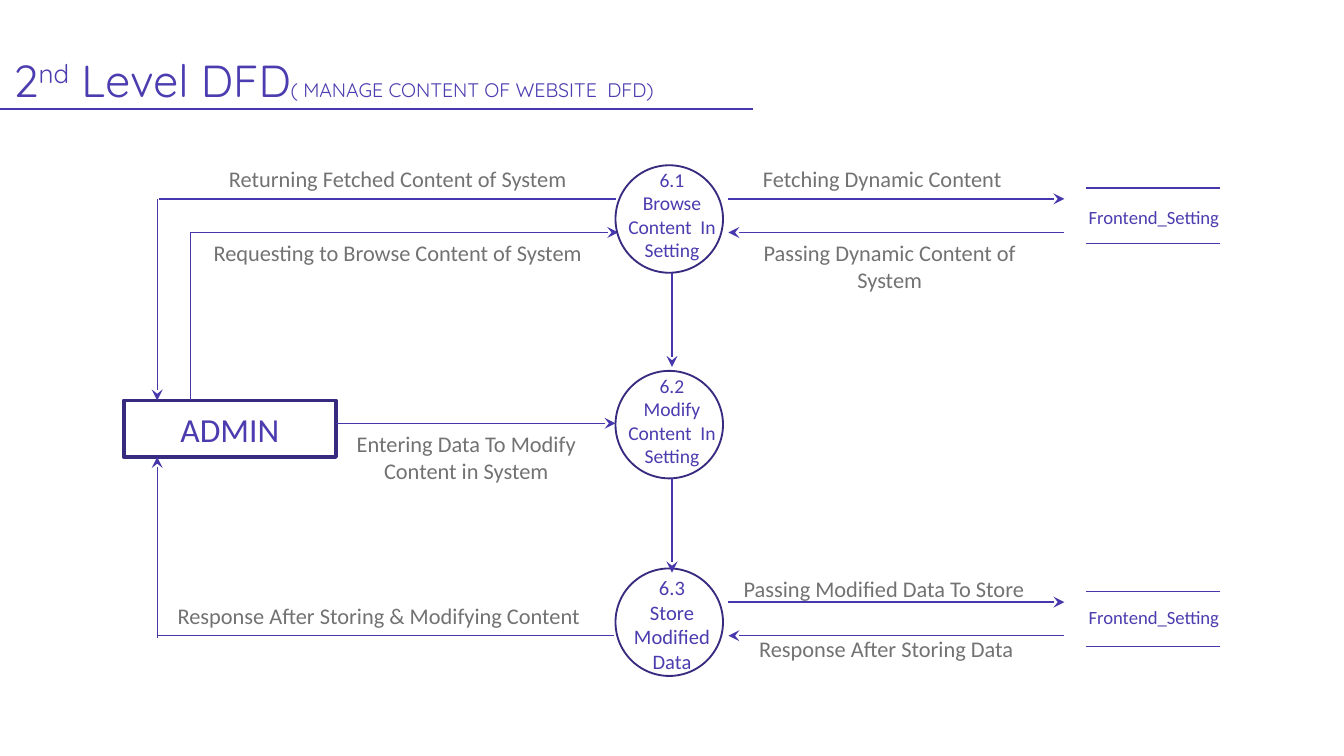
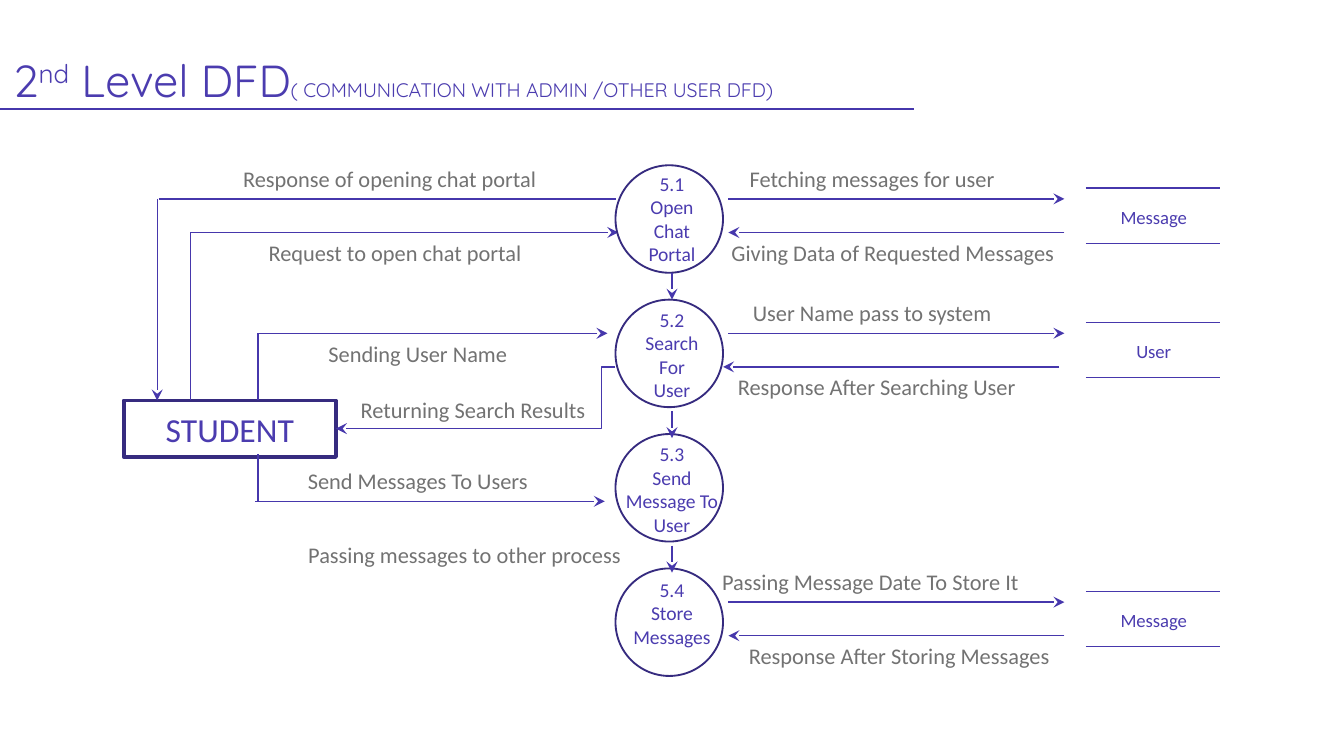
from dataclasses import dataclass

import pptx
import pptx.dml.color
import pptx.enum.shapes
import pptx.enum.text
import pptx.oxml
import pptx.oxml.ns
import pptx.util
from pptx.util import Inches

ALIGN = pptx.enum.text.PP_ALIGN
ANCHOR = pptx.enum.text.MSO_ANCHOR
SHAPE = pptx.enum.shapes.MSO_SHAPE
CONNECTOR = pptx.enum.shapes.MSO_CONNECTOR


@dataclass(frozen=True)
class Theme:
    text: str = "4B3CAF"
    flow: str = "4637AC"
    outline: str = "362B7F"
    label: str = "727272"
    title_font: str = "Quicksand"
    body_font: str = "Calibri"
    title_size: float = 24
    subtitle_size: float = 10.5
    entity_size: float = 18
    process_size: float = 10.5
    last_process_size: float = 11
    label_size: float = 12
    store_size: float = 10
    flow_width: float = 0.75
    process_width: float = 1
    entity_width: float = 2


def rgb(color):
    return pptx.dml.color.RGBColor.from_string(color)


class Diagram:
    """Draws data flow diagrams, one slide at a time."""

    def __init__(self, deck, theme):
        self.deck = deck
        self.theme = theme
        self.page = None

    def new_page(self):
        self.page = self.deck.slides.add_slide(self.deck.slide_layouts[6])

    # Text
    def add_span(self, para, text, size, color=None, font=None):
        span = para.add_run()
        span.text = text
        span.font.size = pptx.util.Pt(size)
        span.font.name = font or self.theme.body_font
        span.font.color.rgb = rgb(color or self.theme.text)
        return span

    def set_frame(self, frame, inset=0.05, anchor=ANCHOR.TOP):
        frame.word_wrap = True
        frame.vertical_anchor = anchor
        frame.margin_left = frame.margin_right = Inches(0.1)
        frame.margin_top = frame.margin_bottom = Inches(inset)

    def text(self, lines, left, top, width, height, size, color=None, align=ALIGN.CENTER):
        box = self.page.shapes.add_textbox(
            Inches(left), Inches(top), Inches(width), Inches(height))
        frame = box.text_frame
        self.set_frame(frame)
        frame.auto_size = pptx.enum.text.MSO_AUTO_SIZE.SHAPE_TO_FIT_TEXT
        for index, line in enumerate(lines):
            para = frame.add_paragraph() if index else frame.paragraphs[0]
            para.alignment = align
            self.add_span(para, line, size, color)

    def label(self, text, left, top, width, align=ALIGN.CENTER):
        lines = text.split("\n")
        self.text(lines, left, top, width, 0.1 + 0.2 * len(lines),
                  self.theme.label_size, self.theme.label, align)

    def title(self, subtitle, rule_end):
        theme = self.theme
        box = self.page.shapes.add_textbox(Inches(0), Inches(0.31), Inches(6.41), Inches(0.58))
        self.set_frame(box.text_frame, 0.1, ANCHOR.BOTTOM)
        para = box.text_frame.paragraphs[0]
        for text, size in (("2", theme.title_size), ("nd", theme.title_size),
                           (" Level DFD", theme.title_size), (subtitle, theme.subtitle_size)):
            span = self.add_span(para, text, size, font=theme.title_font)
            if text == "nd":
                span._r.get_or_add_rPr().set("baseline", "30000")
        self.flow((0, 0.81), (rule_end, 0.81), arrow=False)

    # Lines
    def flow(self, start, end, arrow=True, kind=CONNECTOR.STRAIGHT):
        line = self.page.shapes.add_connector(
            kind, *(Inches(value) for value in (*start, *end)))
        line.line.color.rgb = rgb(self.theme.flow)
        line.line.width = pptx.util.Pt(self.theme.flow_width)
        if arrow:
            tail = pptx.oxml.parse_xml(
                f'<a:tailEnd {pptx.oxml.ns.nsdecls("a")} type="stealth"/>')
            line.line._get_or_add_ln().append(tail)
        line._element.spPr.append(
            pptx.oxml.parse_xml(f'<a:effectLst {pptx.oxml.ns.nsdecls("a")}/>'))
        return line

    def bent_flow(self, start, end, bend):
        line = self.flow(start, end, kind=CONNECTOR.ELBOW)
        guides = line._element.spPr.prstGeom.get_or_add_avLst()
        guides.append(pptx.oxml.parse_xml(
            f'<a:gd {pptx.oxml.ns.nsdecls("a")} name="adj1" fmla="val {round(bend * 100000)}"/>'))

    # Diagram elements
    def outline(self, kind, left, top, width, height, line_width):
        shape = self.page.shapes.add_shape(
            kind, Inches(left), Inches(top), Inches(width), Inches(height))
        shape.shadow.inherit = False
        shape.fill.background()
        shape.line.color.rgb = rgb(self.theme.outline)
        shape.line.width = pptx.util.Pt(line_width)
        return shape

    def entity(self, name):
        shape = self.outline(SHAPE.RECTANGLE, 0.92, 2.98, 1.58, 0.42, self.theme.entity_width)
        self.set_frame(shape.text_frame, anchor=ANCHOR.MIDDLE)
        para = shape.text_frame.paragraphs[0]
        para.alignment = ALIGN.CENTER
        self.add_span(para, name, self.theme.entity_size)

    def process(self, text, top, text_top, size=None):
        self.outline(SHAPE.OVAL, 4.58, top, 0.8, 0.8, self.theme.process_width)
        self.text(text.split("\n"), 4.5, text_top, 1, 0.99, size or self.theme.process_size)

    def next_step(self, top, bottom):
        self.flow((5, top), (5, bottom))

    def store(self, name, top, text_gap=0.08, return_shift=0.0):
        """A data store between two rules, with the flows to and from it."""
        for rule in (top, top + 0.41):
            self.flow((8.08, rule), (9.08, rule), arrow=False)
        self.text([name], 7.92, top + text_gap, 1.33, 0.27, self.theme.store_size)
        self.flow((5.42, top + 0.08), (7.92, top + 0.08))
        self.flow((7.92 + return_shift, top + 0.33), (5.42 + return_shift, top + 0.33))

    def request_loop(self):
        """The request from the entity to the first process and its reply."""
        self.flow((1.42, 2.98), (1.42, 1.73), arrow=False)
        self.flow((1.42, 1.73), (4.6, 1.73))
        self.flow((1.18, 1.48), (4.58, 1.48), arrow=False)
        self.flow((1.17, 1.48), (1.17, 2.98))


def manage_content(diagram):
    diagram.new_page()
    diagram.title("( MANAGE CONTENT OF WEBSITE  DFD)", 5.6)
    diagram.entity("ADMIN")
    diagram.request_loop()

    # Processes and stores
    diagram.process("6.1\nBrowse\nContent  In Setting", 1.23, 1.2)
    diagram.process("6.2\nModify Content  In Setting", 2.76, 2.73)
    diagram.process("6.3\nStore\nModified\nData", 4.23, 4.23, diagram.theme.last_process_size)
    diagram.next_step(2.03, 2.73)
    diagram.next_step(3.56, 4.26)
    diagram.store("Frontend_Setting", 1.4)
    diagram.store("Frontend_Setting", 4.4, text_gap=0.06)

    # Modify and store flows
    diagram.flow((2.5, 3.15), (4.58, 3.15))
    diagram.flow((1.17, 4.73), (4.57, 4.73), arrow=False)
    diagram.flow((1.17, 4.75), (1.17, 3.4))

    # Flow labels
    diagram.label("Returning Fetched Content of System", 1.42, 1.18, 3.08)
    diagram.label("Requesting to Browse Content of System", 1.42, 1.73, 3.08)
    diagram.label("Fetching Dynamic Content", 5.4, 1.18, 2.33)
    diagram.label("Passing Dynamic Content of System", 5.33, 1.73, 2.58)
    diagram.label("Entering Data To Modify\nContent in System", 2.47, 3.15, 2)
    diagram.label("Response After Storing & Modifying Content", 1.11, 4.43, 3.42)
    diagram.label("Passing Modified Data To Store", 4.89, 4.23, 2.83, ALIGN.RIGHT)
    diagram.label("Response After Storing Data", 4.81, 4.68, 2.83, ALIGN.RIGHT)


def communication(diagram):
    diagram.new_page()
    diagram.title("( COMMUNICATION WITH ADMIN /OTHER USER DFD)", 6.8)
    diagram.entity("STUDENT")
    diagram.request_loop()

    # Processes and stores
    steps = (("5.1\nOpen\nChat\nPortal", 1.23), ("5.2\nSearch\nFor\nUser", 2.24),
             ("5.3\nSend Message To\nUser", 3.24), ("5.4\nStore\nMessages", 4.25))
    for index, (text, text_top) in enumerate(steps):
        diagram.process(text, 1.23 + index, text_top)
    for top, bottom in ((2.03, 2.23), (3.06, 3.26), (4.06, 4.26)):
        diagram.next_step(top, bottom)
    diagram.store("Message", 1.4)
    diagram.store("User", 2.4, return_shift=-0.04)
    diagram.store("Message", 4.4)

    # Search and send flows
    diagram.flow((1.92, 2.98), (1.92, 2.48), arrow=False)
    diagram.flow((1.92, 2.48), (4.52, 2.48))
    diagram.bent_flow((4.58, 2.73), (2.5, 3.19), 0.05)
    diagram.flow((1.92, 3.73), (1.92, 3.38), arrow=False)
    diagram.flow((1.9, 3.73), (4.5, 3.73))

    # Flow labels
    diagram.label("Response of opening chat portal", 1.19, 1.18, 3.42)
    diagram.label("Request to open chat portal", 1.4, 1.73, 3.08)
    diagram.label("Fetching messages for user", 5.2, 1.18, 2.58)
    diagram.label("Giving Data of Requested Messages", 5.31, 1.73, 2.67)
    diagram.label("User Name pass to system", 5.2, 2.18, 2.58)
    diagram.label("Response After Searching User", 5.11, 2.73, 2.83)
    diagram.label("Sending User Name", 1.86, 2.48, 2.5)
    diagram.label("Returning Search Results", 2.56, 2.9, 1.92)
    diagram.label("Send Messages To Users", 1.86, 3.43, 2.5)
    diagram.label("Passing messages to other process", 1.89, 3.98, 2.83, ALIGN.RIGHT)
    diagram.label("Passing Message Date To Store It", 4.85, 4.18, 2.83, ALIGN.RIGHT)
    diagram.label("Response After Storing Messages", 5.08, 4.73, 2.83, ALIGN.RIGHT)


def main():
    deck = pptx.Presentation()
    # Widescreen, 16 to 9
    deck.slide_width = Inches(10)
    deck.slide_height = Inches(10) * 9 // 16
    diagram = Diagram(deck, Theme())
    manage_content(diagram)
    communication(diagram)
    deck.save("out.pptx")


if __name__ == "__main__":
    main()
